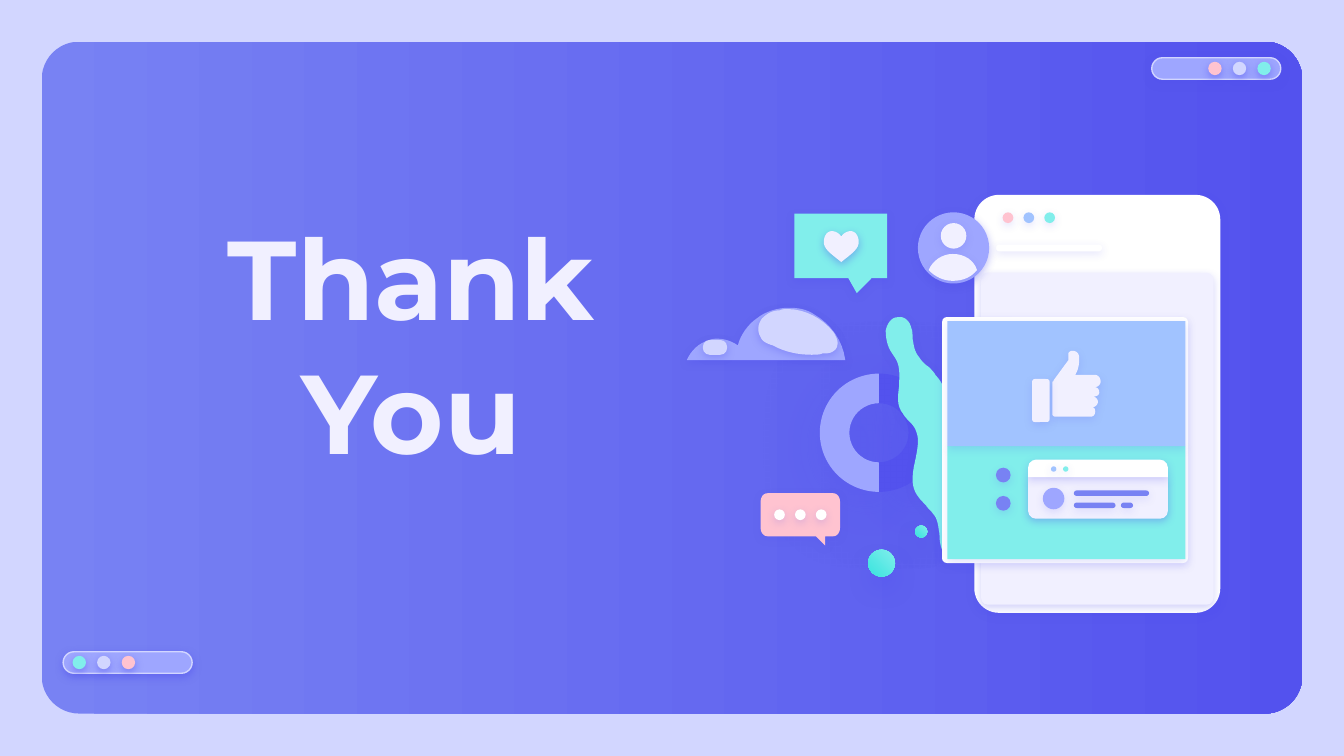
from lxml.etree import SubElement
from pptx import Presentation
from pptx.dml.color import RGBColor
from pptx.enum.shapes import MSO_SHAPE
from pptx.enum.text import MSO_ANCHOR, PP_ALIGN
from pptx.oxml.ns import qn
from pptx.util import Inches, Pt

COLUMNS, ROWS = 100, 56.25
STEPS = 8
INDIGO, BLUE, LILAC, PALE = "5352EE", "7882F3", "9EA6FF", "D2D6FF"
SKY, MINT, TEAL, PINK = "A1C3FF", "81EEEB", "3AE4DF", "FFC3D0"
MIST, WHITE = "F1F0FF", "FFFFFF"


def colour(value):
    return RGBColor.from_string(value)


def bezier(start, curve):
    points = [start, curve[:2], curve[2:4], curve[4:]]
    for step in range(1, STEPS + 1):
        t = step / STEPS
        weights = ((1 - t) ** 3, 3 * t * (1 - t) ** 2, 3 * t * t * (1 - t), t ** 3)
        yield tuple(sum(w * p[axis] for w, p in zip(weights, points)) for axis in (0, 1))


class Canvas:
    font = "Montserrat"

    def __init__(self, deck):
        self.cell = deck.slide_width / COLUMNS
        self.page = deck.slides.add_slide(deck.slide_layouts[5])
        fill = self.page.background.fill
        fill.solid()
        fill.fore_color.rgb = colour(PALE)

    def place(self, *lengths):
        return [round(length * self.cell) for length in lengths]

    def paint(self, shape, fill, alpha=14, blur=4.5, drop=1.5, angle=90):
        if isinstance(fill, str):
            shape.fill.solid()
            shape.fill.fore_color.rgb = colour(fill)
        else:
            shape.fill.gradient()
            shape.fill.gradient_angle = fill[2]
            for stop, value in zip(shape.fill.gradient_stops, fill):
                stop.color.rgb = colour(value)
        shape.line.fill.background()
        shape.shadow.inherit = False
        if alpha:
            effects = shape._element.spPr.find(qn("a:effectLst"))
            shade = SubElement(effects, qn("a:outerShdw"), blurRad=str(Pt(blur)), dist=str(Pt(drop)),
                               dir=str(angle * 60000), algn="bl", rotWithShape="0")
            tint = SubElement(shade, qn("a:srgbClr"), val=INDIGO)
            SubElement(tint, qn("a:alpha"), val=str(alpha * 1000))
        return shape

    def block(self, kind, left, top, width, height, fill, bends=(), **shade):
        shape = self.page.shapes.add_shape(kind, *self.place(left, top, width, height))
        for index, bend in enumerate(bends):
            shape.adjustments[index] = bend
        return self.paint(shape, fill, **shade)

    def rounded(self, left, top, width, height, fill, bend=0.5, **shade):
        return self.block(MSO_SHAPE.ROUNDED_RECTANGLE, left, top, width, height, fill, [bend], **shade)

    def dots(self, left, top, size, fills, across=0, down=0, **shade):
        for index, fill in enumerate(fills):
            self.block(MSO_SHAPE.OVAL, left + index * across, top + index * down, size, size, fill, **shade)

    def outline(self, start, segments, fill, **shade):
        points = [start]
        for segment in segments:
            points.extend([segment] if len(segment) == 2 else bezier(points[-1], segment))
        points = [self.place(*point) for point in points]
        builder = self.page.shapes.build_freeform(*points[0])
        builder.add_line_segments(points[1:], close=True)
        return self.paint(builder.convert_to_shape(), fill, **shade)

    def toolbar(self, left, top, first_dot, fills):
        pill = self.rounded(left, top, 9.6, 1.6, LILAC, alpha=50)
        pill.line.color.rgb = colour(PALE)
        pill.line.width = Pt(0.75)
        self.dots(first_dot, top + 0.3, 1, fills, across=1.83, alpha=50)

    def title(self, text, left, top, width, height):
        box = self.page.shapes.title
        box.left, box.top, box.width, box.height = self.place(left, top, width, height)
        self.page.shapes._spTree.append(box._element)
        frame = box.text_frame
        frame.text = text
        frame.word_wrap = True
        frame.vertical_anchor = MSO_ANCHOR.TOP
        frame.margin_left = frame.margin_right = frame.margin_top = frame.margin_bottom = Inches(0.1)
        para = frame.paragraphs[0]
        para.alignment = PP_ALIGN.CENTER
        para.line_spacing = 1.0
        para.space_before = Pt(0)
        para.font.name, para.font.size, para.font.bold = self.font, Pt(60), True
        para.font.color.rgb = colour(MIST)


def draw_backdrop(canvas):
    canvas.rounded(3.1, 3.1, 93.8, 50, (BLUE, INDIGO, 0), 0.056, alpha=0)
    canvas.toolbar(85.7, 4.3, 89.9, [PINK, PALE, MINT])
    canvas.toolbar(4.7, 48.5, 5.4, [MINT, PALE, PINK])


def draw_ring_and_splash(canvas):
    for fill, turn in ((INDIGO, 90), (LILAC, 270)):
        arc = canvas.block(MSO_SHAPE.BLOCK_ARC, 61, 27.8, 8.8, 8.8, fill,
                           alpha=67, blur=38.2, drop=9, angle=49)
        arc.rotation = turn
    canvas.outline((66.8, 23.6), [
        (67.3, 23.5, 67.7, 23.9, 67.8, 24.4), (67.9, 24.6, 67.9, 24.9, 67.9, 25.2),
        (68, 25.7, 68, 26.1, 68.4, 26.6), (68.6, 26.9, 68.8, 27.1, 69.1, 27.3),
        (69.3, 27.5, 69.5, 27.7, 69.6, 27.9), (70.2, 28.5, 70.5, 29.4, 70.5, 30.4),
        (70.4, 31.3, 70.7, 31.9, 71.5, 32.7), (72.2, 33.3, 73, 34, 72.9, 35.1),
        (72.9, 35.4, 72.8, 35.8, 72.6, 36.2), (72.4, 36.8, 72.2, 37.5, 72.5, 38.2),
        (72.6, 38.4, 72.7, 38.6, 72.8, 38.8), (73.3, 39.6, 73.4, 40.1, 73.4, 40.5),
        (73.3, 40.8, 73.2, 41.2, 73, 41.4), (72.8, 41.7, 72.5, 41.8, 72.2, 41.8),
        (71.7, 41.9, 71.1, 41.7, 70.6, 41.5), (70, 41.1, 69.9, 40.4, 69.9, 39.7),
        (69.8, 39.2, 69.8, 38.6, 69.4, 38.2), (69.2, 37.9, 69, 37.8, 68.9, 37.6),
        (68.6, 37.3, 68.3, 37, 68.1, 36.6), (67.8, 36, 67.9, 35.3, 68, 34.7),
        (68.2, 33.8, 68.3, 33.3, 68.3, 32.8), (68.3, 32.3, 68.1, 31.8, 67.8, 31.5),
        (67.6, 31.3, 67.3, 31, 67.2, 30.8), (66.7, 30.2, 66.8, 29.5, 66.9, 28.7),
        (66.9, 28.1, 67, 27.4, 66.7, 26.8), (66.6, 26.6, 66.3, 26.2, 66.2, 26),
        (66, 25.6, 65.9, 25.1, 65.9, 24.6), (66, 24.1, 66.3, 23.6, 66.8, 23.6),
    ], MINT, alpha=18)


def draw_heart_bubble(canvas):
    canvas.block(MSO_SHAPE.ROUNDED_RECTANGULAR_CALLOUT, 59.1, 15.9, 6.9, 4.8, MINT,
                 [0.174, 0.731, 0], alpha=31)
    canvas.outline((62.6, 17.6), [
        (62.8, 17.3, 63.1, 17.2, 63.3, 17.2), (63.6, 17.2, 63.9, 17.5, 63.9, 18),
        (63.9, 18.5, 63.5, 18.8, 62.6, 19.5), (61.7, 18.8, 61.3, 18.5, 61.3, 18),
        (61.3, 17.5, 61.6, 17.2, 61.9, 17.2), (62.1, 17.2, 62.4, 17.3, 62.6, 17.6),
    ], MIST, alpha=38)


def draw_phone(canvas):
    canvas.rounded(72.5, 14.5, 18.3, 31.1, WHITE, 0.1, alpha=26)
    canvas.rounded(73, 20.3, 17.3, 24.7, MIST, 0.03, alpha=26)
    canvas.dots(74.6, 15.8, 0.8, [PINK, SKY, MINT], across=1.55)
    canvas.rounded(74.1, 18.2, 7.9, 0.5, WHITE)


def draw_post(canvas):
    canvas.rounded(70.1, 23.6, 18.3, 18.3, WHITE, 0.02)
    canvas.block(MSO_SHAPE.RECTANGLE, 70.5, 33.2, 17.7, 8.4, MINT)
    canvas.block(MSO_SHAPE.RECTANGLE, 70.5, 23.9, 17.7, 9.3, SKY)
    canvas.outline((79.8, 26.1), [
        (79.7, 26.1, 79.5, 26.2, 79.5, 26.3), (79.5, 26.8), (78.4, 28.3),
        (78.4, 28.4, 78.3, 28.4, 78.3, 28.4), (78.3, 30.8),
        (78.3, 30.9, 78.4, 31, 78.5, 31), (81.2, 31),
        (81.4, 31, 81.5, 30.8, 81.5, 30.6), (81.5, 30.4, 81.4, 30.3, 81.2, 30.3), (81.3, 30.3),
        (81.5, 30.3, 81.7, 30.1, 81.7, 29.9), (81.7, 29.7, 81.5, 29.5, 81.3, 29.5), (81.4, 29.5),
        (81.6, 29.5, 81.8, 29.4, 81.8, 29.2), (81.8, 28.9, 81.6, 28.8, 81.4, 28.8), (81.5, 28.8),
        (81.7, 28.8, 81.9, 28.6, 81.9, 28.4), (81.9, 28.1, 81.7, 27.9, 81.5, 27.9), (80, 27.9),
        (80.2, 27.6, 80.3, 27.2, 80.3, 26.8), (80.3, 26.6), (80.3, 26.3, 80.1, 26.1, 79.8, 26.1),
    ], MIST)
    canvas.rounded(76.8, 28.2, 1.3, 3.2, MIST, 0.15)
    canvas.dots(74.1, 34.8, 1.1, [BLUE, BLUE], down=2.1)


def draw_comment_card(canvas):
    corners = MSO_SHAPE.ROUND_2_SAME_RECTANGLE
    canvas.block(corners, 76.5, 35.5, 10.4, 3.1, MIST, [0, 0.19], alpha=34)
    canvas.block(corners, 76.5, 34.2, 10.4, 1.3, WHITE, [0.46, 0], alpha=24)
    canvas.dots(78.2, 34.7, 0.4, [SKY, MINT], across=0.9)
    canvas.dots(77.6, 36.3, 1.6, [LILAC])
    for left, top, width in ((79.9, 36.5, 5.6), (79.9, 37.4, 3.1), (83.4, 37.4, 0.9)):
        canvas.rounded(left, top, width, 0.4, BLUE)


def draw_avatar(canvas):
    canvas.dots(68.3, 15.8, 5.3, [LILAC], alpha=34)
    canvas.dots(70, 16.6, 1.9, [MIST])
    canvas.outline((70.9, 18.9), [
        (70.1, 18.9, 69.4, 19.4, 69.1, 20.1), (69.6, 20.6, 70.2, 20.9, 70.9, 20.9),
        (71.7, 20.9, 72.3, 20.6, 72.7, 20.1), (72.5, 19.4, 71.8, 18.9, 70.9, 18.9),
    ], MIST)


def draw_cloud(canvas):
    canvas.outline((58.7, 22.9), [
        (57.8, 22.9, 56.9, 23.2, 56.3, 23.7), (55.7, 24.1, 55.1, 24.9, 54.9, 25.7),
        (54.5, 25.4, 53.9, 25.2, 53.4, 25.2), (53.2, 25.2, 53, 25.2, 52.8, 25.3),
        (52, 25.5, 51.4, 26.1, 51.1, 26.8), (62.9, 26.8),
        (62.7, 25.3, 61.8, 24.1, 60.6, 23.4), (60, 23, 59.4, 22.9, 58.7, 22.9),
    ], LILAC, alpha=31)
    canvas.outline((58.6, 23), [
        (58.4, 23, 58.2, 23, 58, 23.1), (57.5, 23.1, 57.1, 23.3, 56.7, 23.7),
        (56.4, 24.1, 56.3, 24.6, 56.6, 25.1), (56.7, 25.4, 57.1, 25.6, 57.5, 25.7),
        (58.4, 26.2, 59.4, 26.4, 60.4, 26.4), (60.7, 26.4, 61, 26.4, 61.2, 26.3),
        (61.5, 26.3, 61.7, 26.3, 61.9, 26.2), (62.1, 26.1, 62.3, 25.9, 62.3, 25.7),
        (62.4, 25.4, 62.2, 25, 62, 24.7), (61.2, 23.7, 59.9, 23, 58.6, 23),
    ], PALE, alpha=31)
    canvas.rounded(52.3, 25.3, 1.8, 1.1, PALE, 0.45, alpha=31)


def draw_chat(canvas):
    for left, top, size in ((64.6, 40.9, 2), (68.1, 39.1, 0.9)):
        canvas.dots(left, top, size, [(MINT, TEAL, 225)], alpha=38, blur=12.4, drop=6.8)
    canvas.outline((57.1, 36.7), [
        (56.8, 36.7, 56.6, 37, 56.6, 37.3), (56.6, 39.3), (56.6, 39.6, 56.8, 39.9, 57.1, 39.9),
        (60.7, 39.9), (61.4, 40.6), (61.4, 39.9), (62, 39.9),
        (62.3, 39.9, 62.5, 39.6, 62.5, 39.3), (62.5, 37.3), (62.5, 37, 62.3, 36.7, 62, 36.7),
    ], PINK, alpha=18)
    canvas.dots(57.6, 37.9, 0.8, [WHITE] * 3, across=1.55, alpha=18)


def main():
    deck = Presentation()
    deck.slide_width, deck.slide_height = Inches(10), Inches(10 * ROWS / COLUMNS)
    canvas = Canvas(deck)
    for draw in (draw_backdrop, draw_ring_and_splash, draw_heart_bubble, draw_phone, draw_post,
                 draw_comment_card, draw_avatar, draw_cloud, draw_chat):
        draw(canvas)
    canvas.title("Thank\vYou", 0.4, 14.5, 60.4, 9.5)
    deck.save("out.pptx")


if __name__ == "__main__":
    main()
